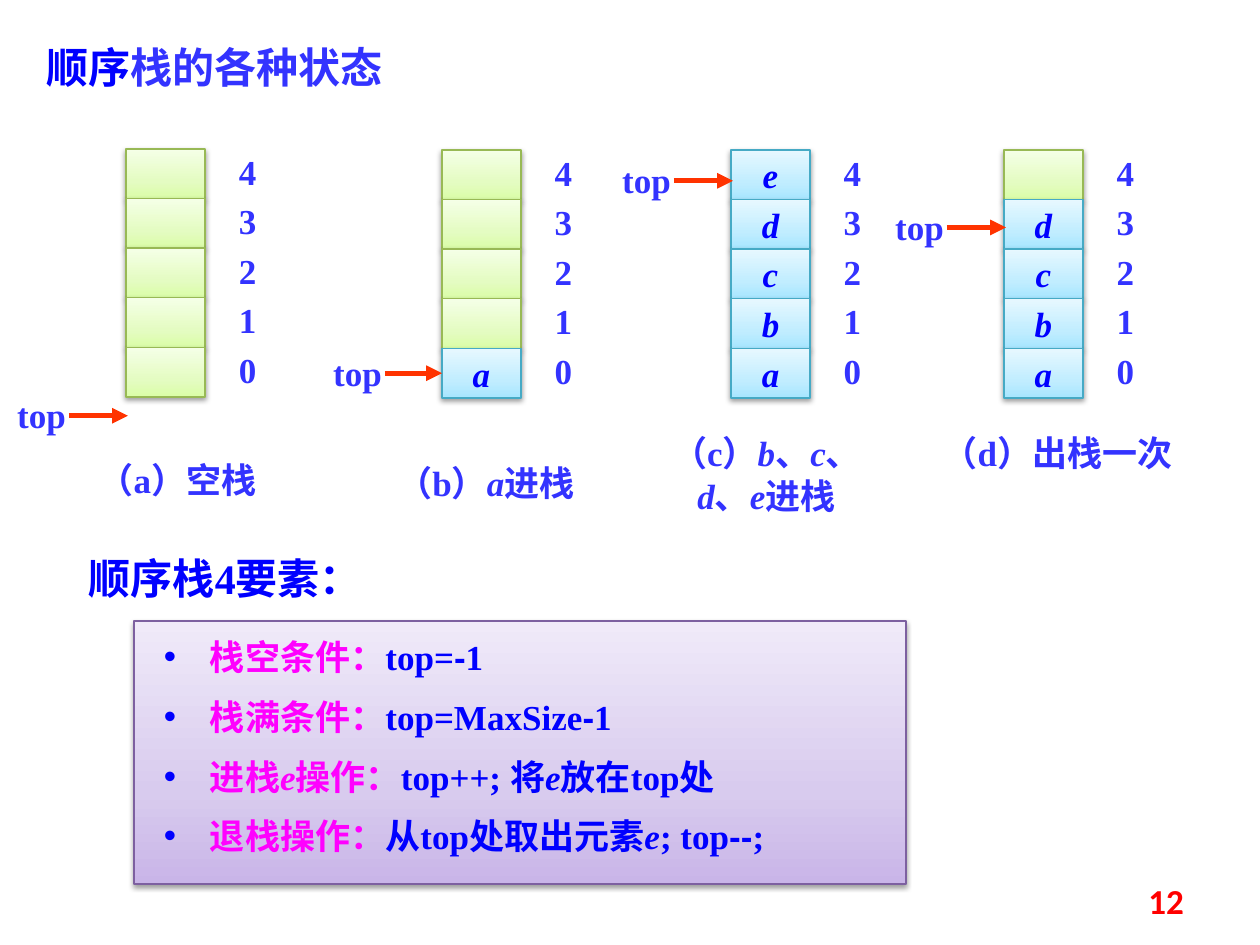
from pptx import Presentation
from pptx.dml.color import RGBColor
from pptx.enum.shapes import MSO_CONNECTOR, MSO_SHAPE
from pptx.enum.text import MSO_ANCHOR, MSO_AUTO_SIZE, PP_ALIGN
from pptx.oxml import parse_xml
from pptx.oxml.ns import nsdecls, qn
from pptx.util import Emu, Pt

PX = 914400 // 126
COLORS = {"blue": "0000FF", "indigo": "3333FF", "magenta": "FF00FF",
          "arrow": "FF3300", "number": "FF0000"}
# Gradient stops run from the bottom of a shape to its top.
SURFACES = {
    "empty": (("DAFDA7", "E4FCC2", "F5FFE7"), "98B955"),
    "filled": (("A7E6FF", "C1EDFF", "E7F8FF"), "46AAC5"),
    "panel": (("C9B5E8", "D8CBEE", "F0EAF9"), "7D60A0"),
}
SERIF = "Times New Roman"
ITALIC = {"italic": True}
ARIAL = {"name": "Arial"}
MAGENTA = {"color": "magenta"}
LABEL = {"size": 20, "name": SERIF, "bold": True, "color": "indigo"}
BLUE = {**LABEL, "color": "blue"}
HEADING = {**BLUE, "size": 24}
ROOMY = (30, 15, 20, 15)
TIGHT = (13, 6, 13, 6)

CELLS = 5
CELL_W, STACK_H = 79, 248
CELL_H = STACK_H / CELLS

# position, contents from the bottom, top index, arrow shift, caption box, caption
STACKS = [
    ((126, 149), "", -1, -6, (-47, 303, 197, 54), [("（a）空栈", {})]),
    ((442, 150), "a", 0, 0, (-75, 305, 238, 54),
     [("（b）", {}), ("a", ITALIC), ("进栈", {})]),
    ((731, 150), "abcde", 4, 6, (-76, 276, 223, 97),
     [("（c）", {}), ("b", ITALIC), ("、", {}), ("c", ITALIC), ("、", {}),
      ("d", ITALIC), ("、", {}), ("e", ITALIC), ("进栈", {})]),
    ((1004, 150), "abcd", 3, 3, (-75, 276, 257, 54), [("（d）出栈一次", {})]),
]
ELEMENTS = [
    [("栈空条件：", MAGENTA), ("top=", {}), ("-", ARIAL), ("1", {})],
    [("栈满条件：", MAGENTA), ("top=MaxSize", {}), ("-", ARIAL), ("1", {})],
    [("进栈", MAGENTA), ("e", {**MAGENTA, **ITALIC}), ("操作：", MAGENTA),
     ("top++; 将", {}), ("e", ITALIC), ("放在top处", {})],
    [("退栈操作：", MAGENTA), ("从top处取出元素", {}), ("e", ITALIC),
     ("; top", {}), ("--", ARIAL), (";", {})],
]


def px(*lengths):
    return [Emu(round(length * PX)) for length in lengths]


def write_runs(paragraph, runs, base):
    for text, changes in runs:
        run = paragraph.add_run()
        run.text = text
        style = {**base, **changes}
        run.font.color.rgb = RGBColor.from_string(COLORS[style.pop("color")])
        style["size"] = Pt(style["size"])
        for attribute, value in style.items():
            setattr(run.font, attribute, value)


def set_frame(frame, insets=TIGHT, anchor=MSO_ANCHOR.TOP, wrap=True):
    margins = zip(("left", "top", "right", "bottom"), px(*insets))
    settings = {"word_wrap": wrap, "auto_size": MSO_AUTO_SIZE.NONE,
                "vertical_anchor": anchor,
                **{f"margin_{side}": inset for side, inset in margins}}
    for attribute, value in settings.items():
        setattr(frame, attribute, value)


def place(shape, box):
    for attribute, value in zip(("left", "top", "width", "height"), px(*box)):
        setattr(shape, attribute, value)


def add_label(slide, box, runs, base=LABEL, align=PP_ALIGN.CENTER, **frame):
    label = slide.shapes.add_textbox(*px(*box))
    set_frame(label.text_frame, **frame)
    paragraph = label.text_frame.paragraphs[0]
    paragraph.alignment = align
    write_runs(paragraph, runs, base)


def paint(shape, surface):
    """Give a shape its three-stop gradient, outline and soft drop shadow."""
    stops, outline = SURFACES[surface]
    shape.fill.gradient()
    shape.fill.gradient_angle = 90
    properties = shape.element.spPr
    stop_list = properties.find(qn("a:gradFill")).find(qn("a:gsLst"))
    for stop in list(stop_list):
        stop_list.remove(stop)
    for position, color in zip((0, 35, 100), stops):
        stop_list.append(parse_xml(
            f'<a:gs {nsdecls("a")} pos="{position * 1000}">'
            f'<a:srgbClr val="{color}"/></a:gs>'))
    shape.line.color.rgb = RGBColor.from_string(outline)
    shape.line.width = Pt(0.75)
    shape.shadow.inherit = False
    properties.find(qn("a:effectLst")).append(parse_xml(
        f'<a:outerShdw {nsdecls("a")} blurRad="{Pt(3.1)}" dist="{Pt(1.6)}" '
        'dir="5400000" rotWithShape="0"><a:srgbClr val="000000">'
        '<a:alpha val="38000"/></a:srgbClr></a:outerShdw>'))


def add_cell(slide, box, content):
    cell = slide.shapes.add_shape(MSO_SHAPE.RECTANGLE, *px(*box))
    paint(cell, "filled" if content else "empty")
    if content:
        set_frame(cell.text_frame, anchor=MSO_ANCHOR.MIDDLE, wrap=False)
        paragraph = cell.text_frame.paragraphs[0]
        paragraph.alignment = PP_ALIGN.CENTER
        write_runs(paragraph, [(content, ITALIC)], BLUE)
    return cell


def add_pointer(slide, x, y, target=None):
    """Draw the "top" arrow at height y, joined to the target cell if given."""
    add_label(slide, (x - 124, y - 28, CELL_W, 54), [("top", {})])
    arrow = slide.shapes.add_connector(MSO_CONNECTOR.STRAIGHT,
                                       *px(x - 57, y, x + 2, y))
    arrow.line.color.rgb = RGBColor.from_string(COLORS["arrow"])
    arrow.line.width = Pt(3)
    if target is not None:
        arrow.end_connect(target, 1)
    properties = arrow.element.spPr
    properties.find(qn("a:ln")).append(
        parse_xml(f'<a:tailEnd {nsdecls("a")} type="triangle"/>'))
    properties.append(parse_xml(f'<a:effectLst {nsdecls("a")}/>'))


def add_stack(slide, origin, contents, top_index, shift, caption_box, caption):
    x, y = origin
    cells = {}
    for index in reversed(range(CELLS)):
        cell_y = y + (CELLS - 1 - index) * CELL_H
        cells[index] = add_cell(slide, (x, cell_y, CELL_W, CELL_H),
                                contents[index:index + 1])
        add_label(slide, (x + 92, cell_y - 5, 59, 54), [(str(index), {})])
    top_middle = y + (CELLS - 0.5 - top_index) * CELL_H
    add_pointer(slide, x, top_middle + shift,
                None if shift else cells[top_index])
    dx, dy, width, height = caption_box
    add_label(slide, (x + dx, y + dy, width, height), caption)


def fill_title(title, box):
    place(title, box)
    set_frame(title.text_frame)
    paragraph = title.text_frame.paragraphs[0]
    paragraph.alignment = PP_ALIGN.LEFT
    write_runs(paragraph, [("顺序", {}), ("栈的各种状态", {
        "name": "Noto Sans CJK SC", "color": "indigo"})], HEADING)


def fill_elements(body, box):
    place(body, box)
    paint(body, "panel")
    frame = body.text_frame
    set_frame(frame, insets=ROOMY)
    indent = px(46)[0]
    for number, runs in enumerate(ELEMENTS):
        paragraph = frame.add_paragraph() if number else frame.paragraphs[0]
        properties = paragraph._p.get_or_add_pPr()
        properties.set("marL", str(indent))
        properties.set("indent", str(-indent))
        for bullet in (f'<a:buClr {nsdecls("a")}><a:srgbClr val="{COLORS["blue"]}"/></a:buClr>',
                       f'<a:buFont {nsdecls("a")} typeface="Arial"/>',
                       f'<a:buChar {nsdecls("a")} char="•"/>'):
            properties.append(parse_xml(bullet))
        paragraph.space_before = Pt(10 if number else 0)
        write_runs(paragraph, runs, BLUE)


def main():
    deck = Presentation()
    deck.slide_width, deck.slide_height = px(1260, 945)
    slide = deck.slides.add_slide(deck.slide_layouts[1])
    title, body = slide.placeholders
    fill_title(title, (34, 35, 428, 63))
    fill_elements(body, (134, 621, 772, 263))
    add_label(slide, (59, 538, 354, 81), [("顺序栈4要素：", {})], HEADING,
              PP_ALIGN.LEFT, insets=ROOMY)
    for stack in STACKS:
        add_stack(slide, *stack)
    add_label(slide, (903, 876, 294, 50), [("12", {})],
              {**LABEL, "name": "Calibri", "color": "number"},
              PP_ALIGN.RIGHT, anchor=MSO_ANCHOR.MIDDLE)
    deck.save("out.pptx")


if __name__ == "__main__":
    main()
